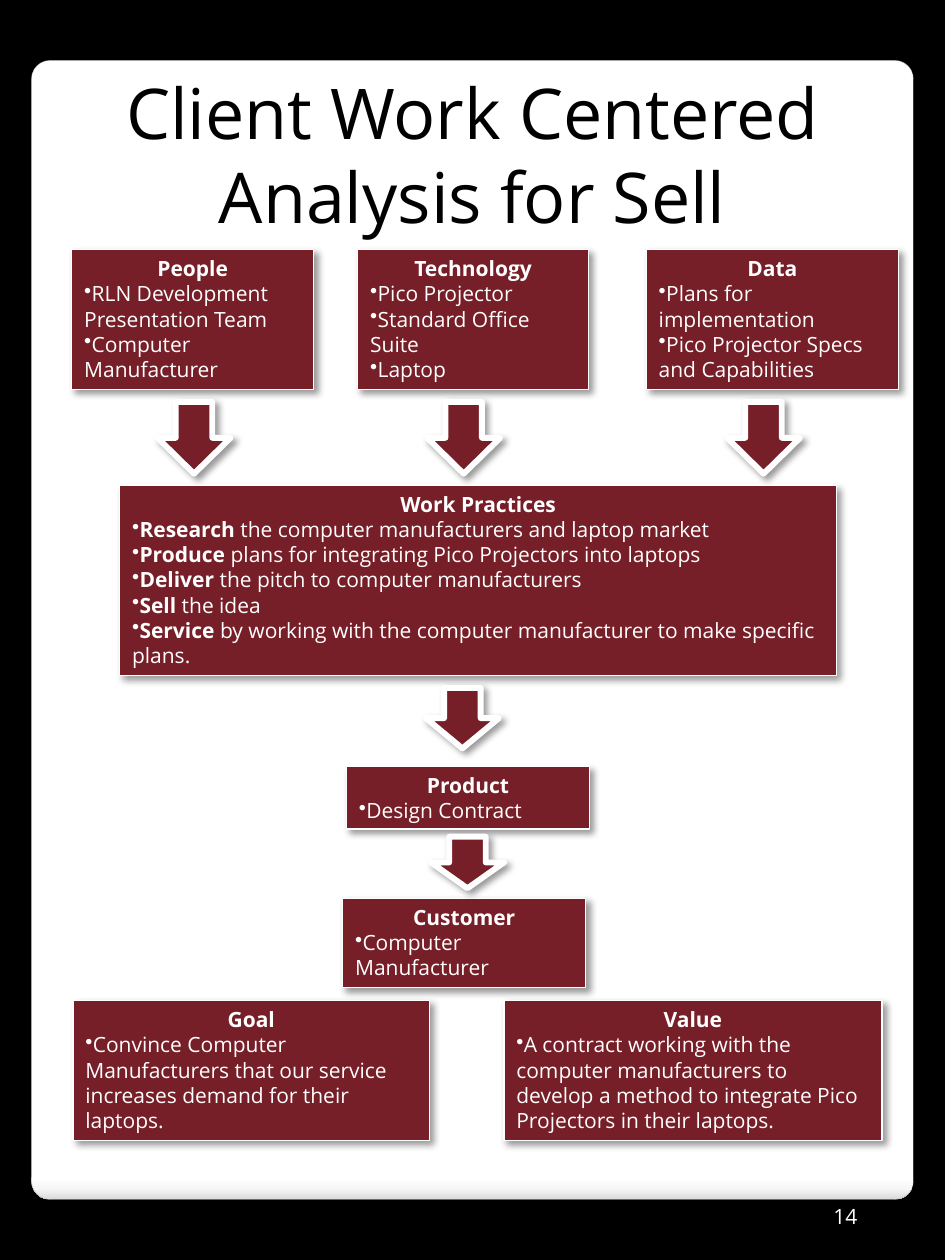
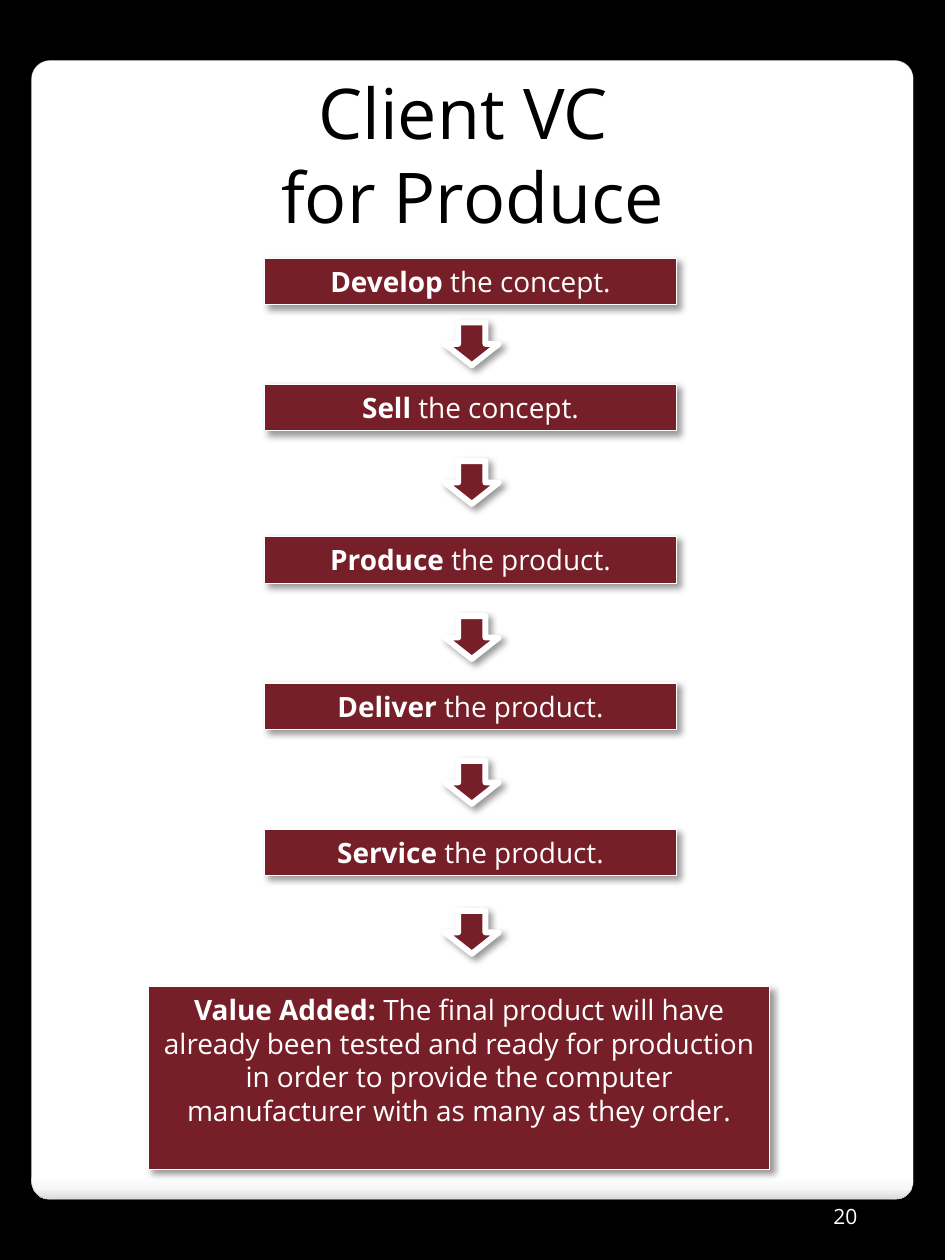
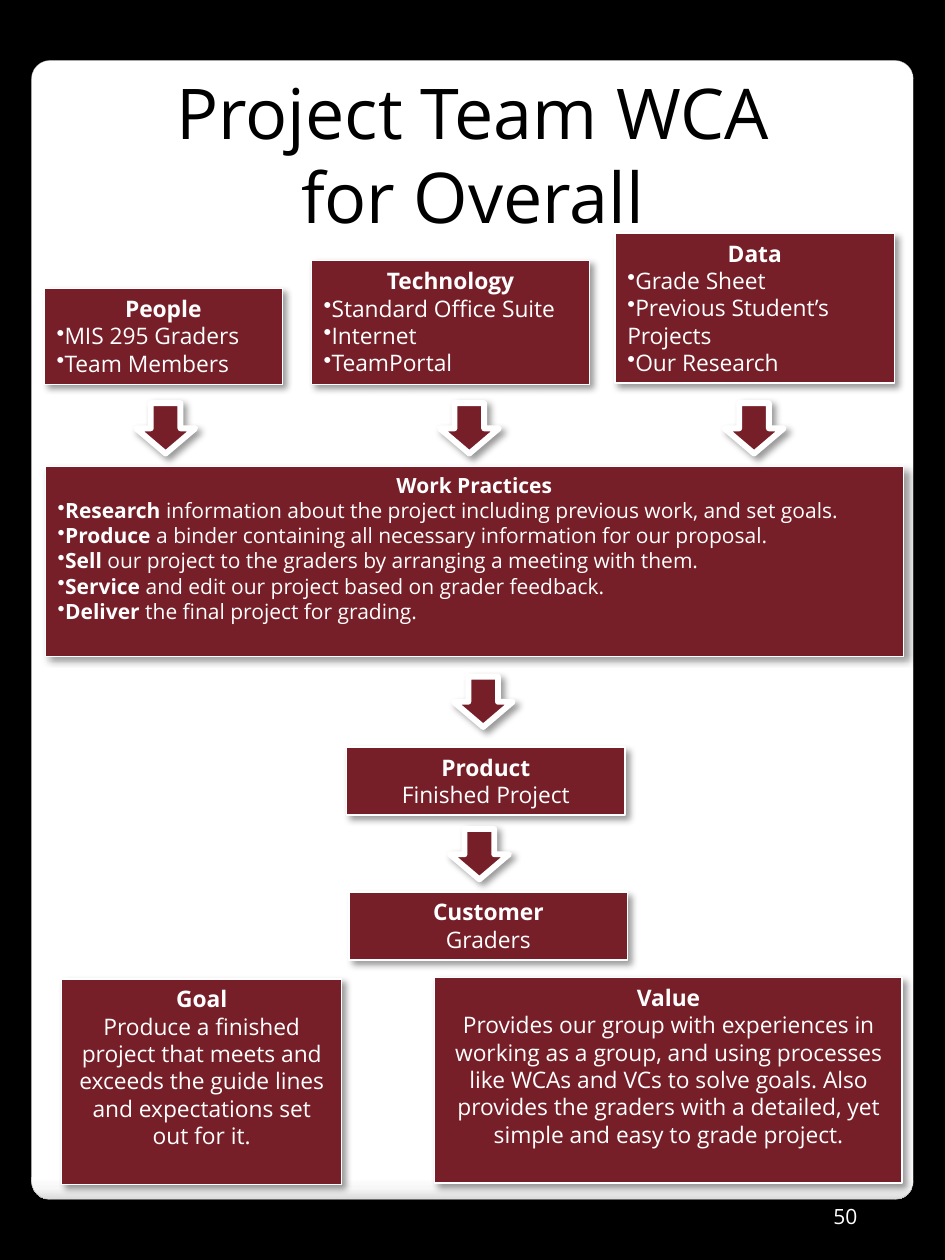
from dataclasses import dataclass

from pptx import Presentation
from pptx.dml.color import RGBColor
from pptx.enum import shapes, text
from pptx.oxml import parse_xml
from pptx.oxml import ns
from pptx.util import Inches, Pt


@dataclass(frozen=True)
class Theme:
    font: str = "Open Sans"
    backdrop: str = "000000"
    panel_edge: str = "A4A4A4"
    panel_stops: tuple = ((0, "FFFFFF"), (98, "FFFFFF"), (99, "F7F7F7"), (100, "DADADA"))
    maroon: str = "771F28"
    light: str = "FFFFFF"
    dark: str = "000000"
    title_size: int = 40
    step_size: int = 16
    card_size: int = 13
    small_size: int = 12
    card_line: float = 0.75
    arrow_line: float = 3.35


THEME = Theme()
CENTER = text.PP_ALIGN.CENTER
LEFT = text.PP_ALIGN.LEFT


def rgb(value):
    return RGBColor.from_string(value)


def add_shadow(shape, alpha, blur, distance, angle):
    shape.shadow.inherit = False
    effects = shape.element.spPr.find(ns.qn("a:effectLst"))
    effects.append(parse_xml(
        f'<a:outerShdw {ns.nsdecls("a")} blurRad="{Pt(blur)}" dist="{Pt(distance)}" '
        f'dir="{angle * 60000}" algn="tl" rotWithShape="0"><a:srgbClr val="000000">'
        f'<a:alpha val="{alpha * 1000}"/></a:srgbClr></a:outerShdw>'))


def add_figure(slide, preset, box, line_color, line_width):
    figure = slide.shapes.add_shape(preset, *map(Inches, box))
    figure.line.color.rgb = rgb(line_color)
    figure.line.width = Pt(line_width)
    return figure


def add_maroon(slide, preset, box, line_width):
    figure = add_figure(slide, preset, box, THEME.light, line_width)
    figure.fill.solid()
    figure.fill.fore_color.rgb = rgb(THEME.maroon)
    add_shadow(figure, 40, 4, 3, 45)
    return figure


def add_panel(slide):
    panel = add_figure(slide, shapes.MSO_SHAPE.ROUNDED_RECTANGLE,
                       (0.25, 0.48, 7, 9.04), THEME.panel_edge, 0.16)
    panel.adjustments[0] = 0.021
    panel.fill.gradient()
    panel.fill.gradient_angle = 270
    stops = panel.element.spPr.find(".//" + ns.qn("a:gsLst"))
    for stop in list(stops):
        stops.remove(stop)
    for position, color in THEME.panel_stops:
        stops.append(parse_xml(f'<a:gs {ns.nsdecls("a")} pos="{position * 1000}">'
                               f'<a:srgbClr val="{color}"/></a:gs>'))
    add_shadow(panel, 25, 6, 4, 90)


def add_bullet(paragraph):
    properties = paragraph._p.get_or_add_pPr()
    properties.set("marL", "0")
    properties.set("indent", "0")
    properties.append(parse_xml(f'<a:buChar {ns.nsdecls("a")} char="\u2022"/>'))


def write_line(paragraph, line, size, color, align):
    lead, _, rest = line.rpartition("|")
    paragraph.alignment = align
    for words, bold in ((lead, True), (rest, False)):
        if words:
            run = paragraph.add_run()
            run.text = words
            run.font.name = THEME.font
            run.font.size = Pt(size)
            run.font.bold = bold
            run.font.color.rgb = rgb(color)


def write_lines(frame, lines, size, color, bulleted=False):
    frame.word_wrap = True
    for index, line in enumerate(lines):
        paragraph = frame.add_paragraph() if index else frame.paragraphs[0]
        is_bullet = bulleted and index > 0
        write_line(paragraph, line, size, color, LEFT if is_bullet else CENTER)
        if is_bullet:
            add_bullet(paragraph)


def add_label(slide, box, lines, size, color):
    frame = slide.shapes.add_textbox(*map(Inches, box)).text_frame
    write_lines(frame, lines, size, color)
    return frame


def add_card(slide, box, lines, size, bulleted=False):
    card = add_maroon(slide, shapes.MSO_SHAPE.RECTANGLE, box, THEME.card_line)
    card.text_frame.vertical_anchor = text.MSO_ANCHOR.TOP
    write_lines(card.text_frame, lines, size, THEME.light, bulleted)


def add_arrows(slide, size, places):
    for place in places:
        add_maroon(slide, shapes.MSO_SHAPE.DOWN_ARROW, (*place, *size), THEME.arrow_line)


def add_page(prs, title, number):
    slide = prs.slides.add_slide(prs.slide_layouts[6])
    add_panel(slide)
    add_label(slide, (0.25, 0.5, 7, 1.45), title, THEME.title_size, THEME.dark)
    footer = add_label(slide, (6.24, 9.47, 0.94, 0.53), [number], THEME.small_size, THEME.light)
    footer.vertical_anchor = text.MSO_ANCHOR.BOTTOM
    footer.margin_bottom = Inches(0.25)
    return slide


def build_sell_analysis(prs):
    slide = add_page(prs, ["Client Work Centered Analysis for Sell"], "14")
    cards = [
        ((0.95, 3.85, 5.69, 1.51), [
            "Work Practices|",
            "Research| the computer manufacturers and laptop market",
            "Produce |plans for integrating Pico Projectors into laptops",
            "Deliver| the pitch to computer manufacturers",
            "Sell| the idea",
            "Service |by working with the computer manufacturer to make specific plans."]),
        ((0.57, 1.98, 1.92, 1.11), [
            "People|", "RLN Development Presentation Team", "Computer Manufacturer"]),
        ((2.84, 1.98, 1.83, 1.11), [
            "Technology|", "Pico Projector", "Standard Office Suite", "Laptop"]),
        ((5.13, 1.98, 2, 1.11), [
            "Data|", "Plans for implementation", "Pico Projector Specs and Capabilities"]),
        ((0.58, 7.94, 2.83, 1.11), [
            "Goal|",
            "Convince Computer Manufacturers that our service increases demand "
            "for their laptops."]),
        ((4, 7.94, 3, 1.11), [
            "Value|",
            "A contract working with the computer manufacturers to develop a method "
            "to integrate Pico Projectors in their laptops."]),
        ((2.72, 7.13, 1.93, 0.71), ["Customer|", "Computer Manufacturer"]),
        ((2.75, 6.08, 1.93, 0.5), ["Product|", "Design Contract"]),
    ]
    for box, lines in cards:
        add_card(slide, box, lines, THEME.small_size, bulleted=True)
    add_arrows(slide, (0.58, 0.57), [(left, 3.19) for left in (1.25, 3.39, 5.77)])
    add_arrows(slide, (0.58, 0.48), [(3.38, 5.46)])
    add_arrows(slide, (0.58, 0.41), [(3.42, 6.64)])


def build_produce_chain(prs):
    slide = add_page(prs, ["Client VC ", "for Produce"], "20")
    steps = [
        (2.05, "Develop| the concept."),
        (3.05, "Sell| the concept."),
        (4.26, "Produce| the product."),
        (5.42, "Deliver| the product."),
        (6.58, "Service |the product."),
    ]
    for top, step in steps:
        add_card(slide, (2.1, top, 3.27, 0.37), [step], THEME.step_size)
    add_card(slide, (1.18, 7.83, 4.93, 1.45), [
        "Value Added: |The final product will have already been tested and ready for "
        "production in order to provide the computer manufacturer with as many as "
        "they order."], THEME.step_size)
    add_arrows(slide, (0.43, 0.34), [(3.53, top) for top in (2.56, 3.66, 4.89, 6.04, 7.23)])


def build_overall_analysis(prs):
    slide = add_page(prs, ["Project Team WCA", "for Overall"], "50")
    add_card(slide, (0.36, 3.7, 6.81, 1.51), [
        "Work Practices|",
        "Research |information about the project including previous work, and set goals.",
        "Produce| a binder containing all necessary information for our proposal.",
        "Sell| our project to the graders by arranging a meeting with them.",
        "Service| and edit our project based on grader feedback.",
        "Deliver| the final project for grading."], THEME.small_size, bulleted=True)
    inputs = [
        ((2.47, 2.07, 2.21, 0.98), [
            "Technology|", "Standard Office Suite", "Internet", "TeamPortal"]),
        ((0.35, 2.29, 1.89, 0.76), ["People|", "MIS 295 Graders", "Team Members"]),
        ((4.88, 1.85, 2.22, 1.19), [
            "Data|", "Grade Sheet", "Previous Student\u2019s Projects", "Our Research"]),
    ]
    results = [
        ((2.75, 5.93, 2.21, 0.54), ["Product|", "Finished Project"]),
        ((2.77, 7.08, 2.21, 0.54), ["Customer|", "Graders"]),
        ((0.49, 7.77, 2.22, 1.63), [
            "Goal|",
            "Produce a finished project that meets and exceeds the guide lines and "
            "expectations set out for it."]),
        ((3.45, 7.76, 3.71, 1.63), [
            "Value|",
            "Provides our group with experiences in working as a group, and using "
            "processes like WCAs and VCs to solve goals. Also provides the graders "
            "with a detailed, yet simple and easy to grade project."]),
    ]
    for group, bulleted in ((inputs, True), (results, False)):
        for box, lines in group:
            add_card(slide, box, lines, THEME.card_size, bulleted)
    add_arrows(slide, (0.47, 0.4),
               [(3.49, 3.2), (5.75, 3.2), (1.08, 3.2), (3.6, 5.37), (3.57, 6.58)])


def main():
    prs = Presentation()
    prs.slide_width = Inches(7.5)
    prs.slide_height = Inches(10)
    backdrop = prs.slide_master.background.fill
    backdrop.solid()
    backdrop.fore_color.rgb = rgb(THEME.backdrop)
    build_sell_analysis(prs)
    build_produce_chain(prs)
    build_overall_analysis(prs)
    prs.save("out.pptx")


main()
